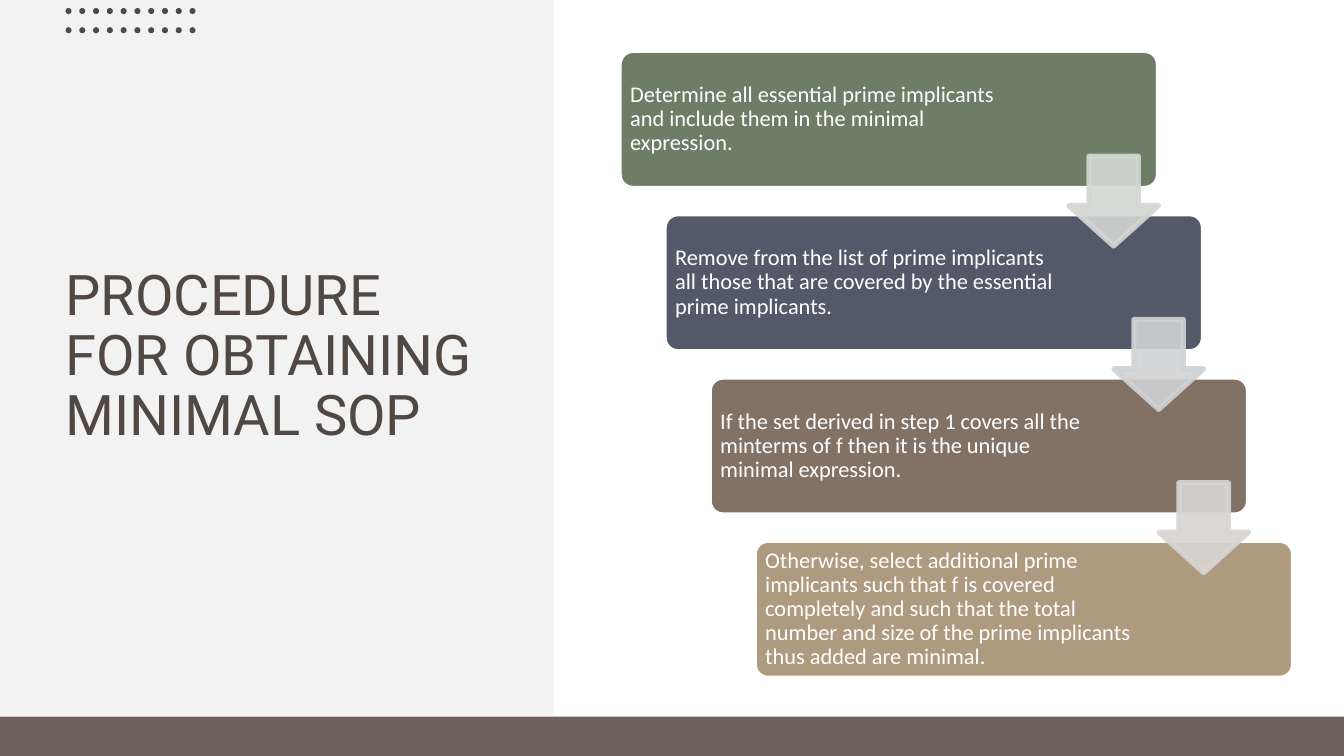
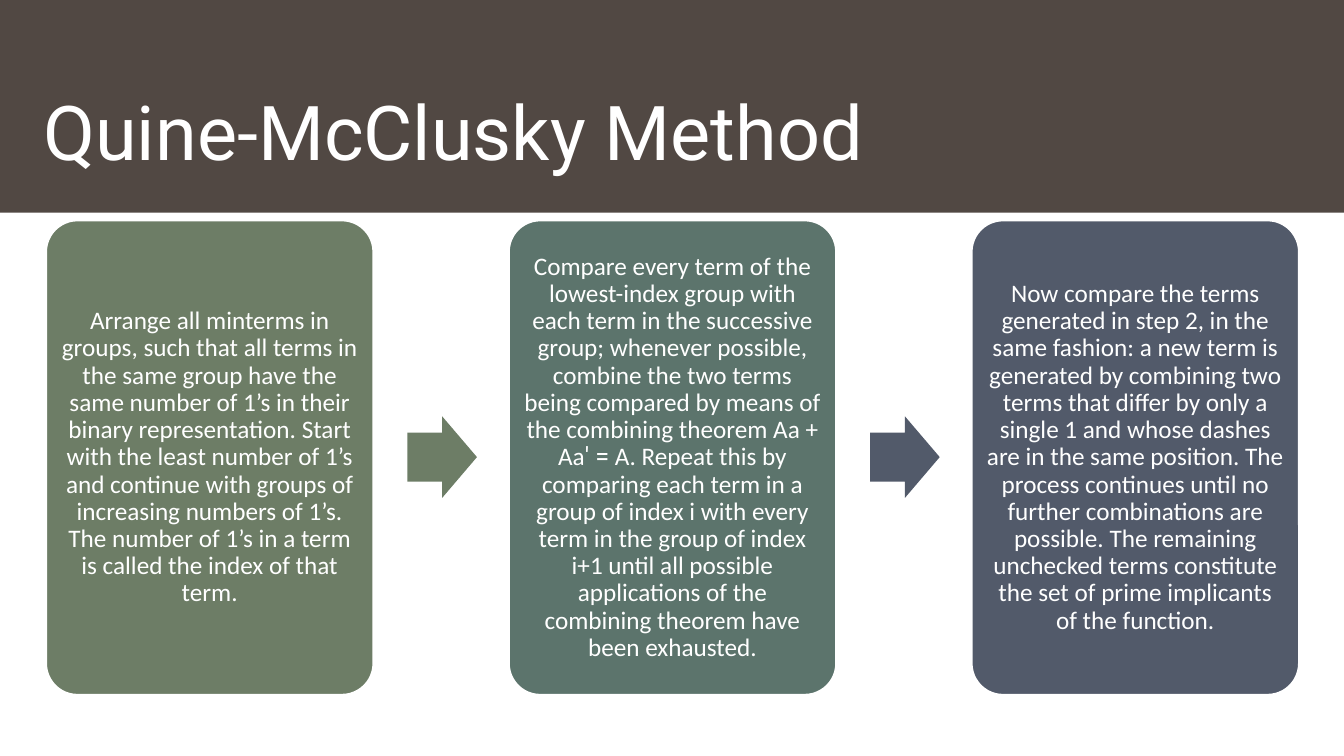
"""Build two slides on minimal sums of products and the Quine-McClusky method."""
from dataclasses import dataclass

import lxml.etree
import pptx
import pptx.dml.color
import pptx.enum.shapes
import pptx.enum.text
import pptx.oxml.ns
import pptx.util

RGB = pptx.dml.color.RGBColor
SHAPE = pptx.enum.shapes.MSO_SHAPE
ALIGN = pptx.enum.text.PP_ALIGN
ANCHOR = pptx.enum.text.MSO_ANCHOR

WIDE, TALL = 13.33, 7.5
EDGE = 3.78
PAD = 0.07
HEAD, BODY = "Roboto", "Calibri"

WHITE = RGB(0xFF, 0xFF, 0xFF)
PALE = RGB(0xF2, 0xF2, 0xF2)
DARK = RGB(0x51, 0x48, 0x43)
TAUPE = RGB(0x6F, 0x62, 0x5C)
GREEN = RGB(0x6D, 0x7D, 0x66)
TEAL = RGB(0x5C, 0x74, 0x6C)
SLATE = RGB(0x52, 0x5A, 0x6A)
BROWN = RGB(0x82, 0x72, 0x66)
SAND = RGB(0xAE, 0x9A, 0x7E)
MIST = RGB(0xD4, 0xD7, 0xD3)
CLOUD = RGB(0xD1, 0xD2, 0xD4)
ASH = RGB(0xD8, 0xD5, 0xD3)


@dataclass(frozen=True)
class Box:
    """A place on the slide, in inches."""
    left: float
    top: float
    width: float
    height: float

    def spot(self) -> list[int]:
        """Return the four lengths as slide units."""
        sides = (self.left, self.top, self.width, self.height)
        return [pptx.util.Inches(side) for side in sides]


@dataclass(frozen=True)
class Grid:
    """Equal cells, spaced by a fixed pitch."""
    first: Box
    across: float = 0
    down: float = 0

    def cell(self, col: int, row: int) -> Box:
        """Return the box in one column and row."""
        start = self.first
        return Box(start.left + col * self.across, start.top + row * self.down,
                   start.width, start.height)


@dataclass(frozen=True)
class Card:
    """A filled card; every second piece of its text is in the title font."""
    fill: RGB
    words: tuple[str, ...]
    right: float = PAD


DOTS = Grid(Box(0.65, 0.08, 0.06, 0.06), 1.23 / 9, 0.19)
STEPS = Grid(Box(6.14, 0.5, 5.35, 1.37), 1.34 / 3, 1.62)
DROPS = Grid(Box(10.6, 1.55, 0.89, 0.89), 1.34 / 3, 1.62)
CARDS = Grid(Box(0.44, 2.17, 3.28, 4.74), 4.59)
LINKS = Grid(Box(4.04, 4.13, 0.69, 0.81), 4.59)

RULES = (
    Card(GREEN, ("Determine all essential prime implicants and include them in "
                 "the minimal expression.",), 1.58),
    Card(SLATE, ("Remove from the list of prime implicants all those that are "
                 "covered by the essential prime implicants.",), 1.41),
    Card(BROWN, ("If the set derived in step 1 covers all the minterms of f then "
                 "it is the unique minimal expression.",), 1.41),
    Card(SAND, ("Otherwise, select additional prime implicants such that f is "
                "covered completely and such that the total number and size of "
                "the prime implicants thus added are minimal.",), 1.41),
)
STAGES = (
    Card(GREEN, ("Arrange all minterms in groups, such that all terms in the same "
                 "group have the same number of 1’s in their binary "
                 "representation. Start with the least number of 1’s and continue "
                 "with groups of increasing numbers of 1’s. The number of 1’s in "
                 "a term is called the index of that term.",)),
    Card(TEAL, ("Compare every term of the lowest-index group with each term in "
                "the successive group; whenever possible, combine the two terms "
                "being compared by means of the combining theorem Aa + Aa",
                "' =",
                " A. Repeat this by comparing each term in a group of index i with "
                "every term in the group of index i+1 until all possible "
                "applications of the combining theorem have been exhausted.")),
    Card(SLATE, ("Now compare the terms generated in step 2, in the same fashion: "
                 "a new term is generated by combining two terms that differ by "
                 "only a single 1 and whose dashes are in the same position. The "
                 "process continues until no further combinations are possible. "
                 "The remaining unchecked terms constitute the set of prime "
                 "implicants of the function.",)),
)


def draw(slide, kind, box: Box, fill: RGB, edge: RGB | None = None,
         bends: tuple[float, ...] = ()):
    """Add a flat preset shape and return it."""
    shape = slide.shapes.add_shape(kind, *box.spot())
    shape.shadow.inherit = False
    shape.fill.solid()
    shape.fill.fore_color.rgb = fill
    if edge is None:
        shape.line.fill.background()
    else:
        shape.line.color.rgb = edge
        shape.line.width = pptx.util.Pt(EDGE)
    for index, bend in enumerate(bends):
        shape.adjustments[index] = bend
    return shape


def write(shape, words: tuple[str, ...], font: str, size: int, ink: RGB,
          align, anchor, pads: tuple[float, float, float, float]) -> None:
    """Fill a shape with one styled paragraph."""
    frame = shape.text_frame
    frame.word_wrap = True
    frame.vertical_anchor = anchor
    (frame.margin_left, frame.margin_top, frame.margin_right,
     frame.margin_bottom) = [pptx.util.Inches(pad) for pad in pads]
    para = frame.paragraphs[0]
    para.alignment = align
    para.line_spacing = 0.9
    para.font.name = font
    para.font.size = pptx.util.Pt(size)
    para.font.color.rgb = ink
    for index, text in enumerate(words):
        run = para.add_run()
        run.text = text
        if index % 2:
            run.font.name = HEAD


def title(slide, box: Box, text: str, size: int, ink: RGB, anchor) -> None:
    """Add the slide title."""
    shape = slide.shapes.add_textbox(*box.spot())
    write(shape, (text,), HEAD, size, ink, ALIGN.LEFT, anchor, (0, 0.05, 0, 0.05))


def panel(slide, box: Box, card: Card, size: int, align) -> None:
    """Add a rounded card with its text."""
    shape = draw(slide, SHAPE.ROUNDED_RECTANGLE, box, card.fill, WHITE, (0.1,))
    write(shape, card.words, BODY, size, WHITE, align, ANCHOR.MIDDLE,
          (PAD, PAD, card.right, PAD))


def fade(shape, share: int) -> None:
    """Make fill and line opaque to the given percentage."""
    name = pptx.oxml.ns.qn
    for color in shape.element.spPr.iter(name("a:srgbClr")):
        lxml.etree.SubElement(color, name("a:alpha"), val=str(share * 1000))


def rules(slide) -> None:
    """Draw the stepped procedure."""
    draw(slide, SHAPE.RECTANGLE, Box(0, 0, WIDE * 0.412, 7.1), PALE)
    title(slide, Box(0.65, 1.32, 4.24, 4.45),
          "PROCEDURE FOR OBTAINING MINIMAL SOP", 40, DARK, ANCHOR.MIDDLE)
    for row in range(2):
        for col in range(10):
            draw(slide, SHAPE.OVAL, DOTS.cell(col, row), DARK)
    draw(slide, SHAPE.RECTANGLE, Box(0, 7.11, WIDE, TALL - 7.11), TAUPE)
    for step, card in enumerate(RULES):
        panel(slide, STEPS.cell(step, step), card, 16, ALIGN.LEFT)
    for step, tint in enumerate((MIST, CLOUD, ASH)):
        drop = draw(slide, SHAPE.DOWN_ARROW, DROPS.cell(step, step), tint, tint,
                    (0.55, 0.45))
        fade(drop, 90)


def method(slide) -> None:
    """Draw the three stages of the method."""
    draw(slide, SHAPE.RECTANGLE, Box(0, 0, WIDE, 2.11), DARK)
    title(slide, Box(0.43, 0.35, 12.48, 1.45), "Quine-McClusky Method", 54, WHITE,
          ANCHOR.BOTTOM)
    for col, card in enumerate(STAGES):
        panel(slide, CARDS.cell(col, 0), card, 18, ALIGN.CENTER)
    for col, tint in enumerate((GREEN, SLATE)):
        draw(slide, SHAPE.RIGHT_ARROW, LINKS.cell(col, 0), tint, None, (0.6, 0.5))


def main() -> None:
    """Build and save the deck."""
    deck = pptx.Presentation()
    deck.slide_width = pptx.util.Inches(WIDE)
    deck.slide_height = pptx.util.Inches(TALL)
    for build in (rules, method):
        build(deck.slides.add_slide(deck.slide_layouts[6]))
    deck.save("out.pptx")


if __name__ == "__main__":
    main()
